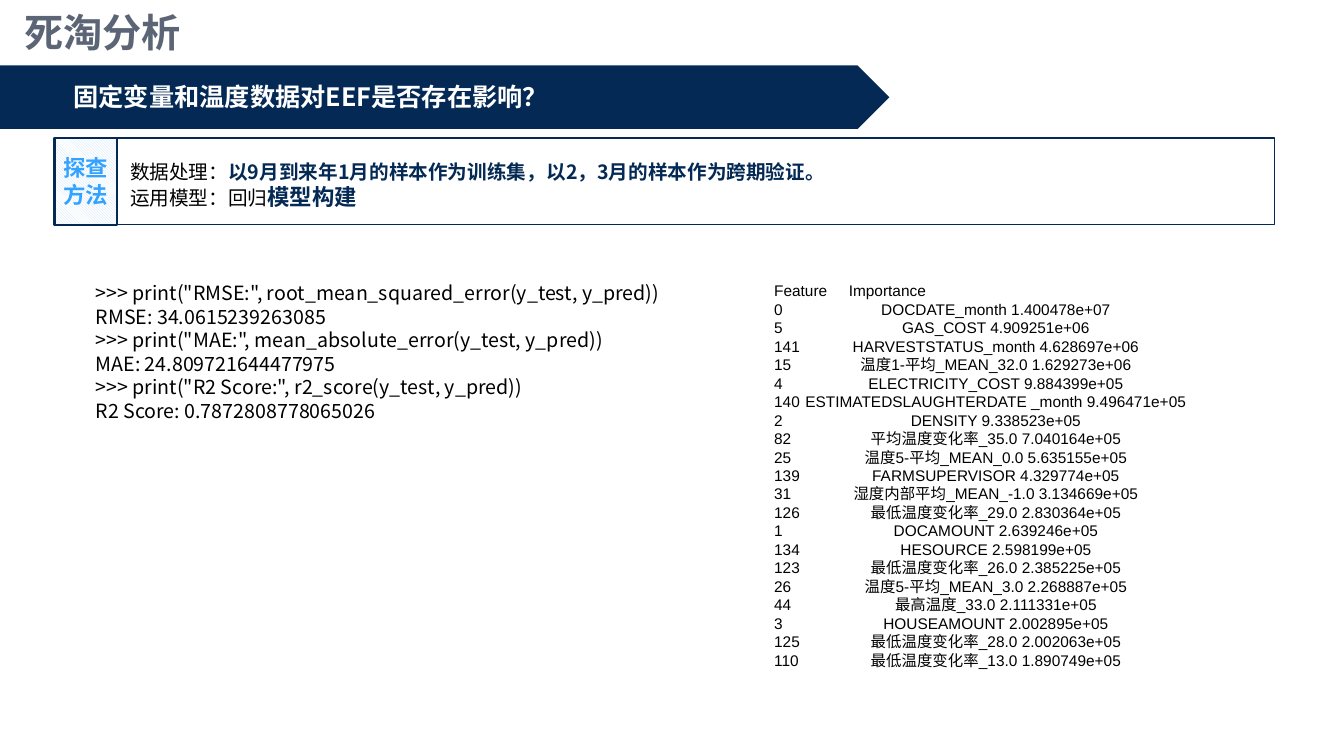
from lxml import etree
from pptx import Presentation
from pptx.dml.color import RGBColor
from pptx.enum.dml import MSO_PATTERN
from pptx.enum.shapes import MSO_SHAPE
from pptx.enum.text import MSO_ANCHOR, MSO_AUTO_SIZE, PP_ALIGN
from pptx.oxml.ns import qn
from pptx.util import Inches, Pt

RECT, BANNER = MSO_SHAPE.RECTANGLE, MSO_SHAPE.PENTAGON
LEFT, CENTER, JUSTIFY = PP_ALIGN.LEFT, PP_ALIGN.CENTER, PP_ALIGN.JUSTIFY
MIDDLE, TOP = MSO_ANCHOR.MIDDLE, MSO_ANCHOR.TOP
CJK = "Noto Sans CJK SC"
NAVY, BLACK, WHITE = "032954", "000000", "FFFFFF"
WIDE_INSET, NORMAL_INSET = (0.13, 0.07), (0.1, 0.05)


def rgb(value):
    return RGBColor.from_string(value)


def write(s, paragraphs, inset=WIDE_INSET, anchor=MIDDLE, align=LEFT, font=CJK):
    """Fill s with paragraphs, each a list of (text, size, colour, bold) runs."""
    tf = s.text_frame
    tf.word_wrap = True
    tf.auto_size = MSO_AUTO_SIZE.NONE
    tf.vertical_anchor = anchor
    tf.margin_left = tf.margin_right = Inches(inset[0])
    tf.margin_top = tf.margin_bottom = Inches(inset[1])
    for i, runs in enumerate(paragraphs):
        p = tf.add_paragraph() if i else tf.paragraphs[0]
        p.alignment = align
        for text, size, color, bold in runs:
            r = p.add_run()
            r.text = text
            r.font.size = Pt(size)
            r.font.bold = bold
            r.font.color.rgb = rgb(color)
            r.font.name = font
            etree.SubElement(r.font._element, qn("a:ea")).set("typeface", CJK)
    return tf


prs = Presentation()
prs.slide_width, prs.slide_height = Inches(13.33), Inches(7.5)
slide = prs.slides.add_slide(prs.slide_layouts[5])
shapes = slide.shapes

title = shapes.title
title.left, title.top = Inches(0.11), Inches(-0.03)
title.width, title.height = Inches(12.29), Inches(0.7)
write(title, [[("死淘分析", 28, "5C6576", True)]])

# Question banner
banner = shapes.add_shape(BANNER, 0, Inches(0.65), Inches(8.82), Inches(0.63))
banner.shadow.inherit = False
banner.fill.solid()
banner.fill.fore_color.rgb = rgb(NAVY)
banner.line.fill.background()
question = shapes.add_textbox(Inches(0.6), Inches(0.61), Inches(7.93), Inches(0.7))
write(question, [[("固定变量和温度数据对EEF是否存在影响？", 18, WHITE, True)]])

# Method row: patterned label inside a full-width frame
label, frame = [
    shapes.add_shape(RECT, Inches(0.54), Inches(1.37), Inches(width), Inches(0.86))
    for width in (0.62, 12.1)
]
for s, weight in ((label, 1.5), (frame, 1)):
    s.shadow.inherit = False
    s.line.color.rgb = rgb(NAVY)
    s.line.width = Pt(weight)
frame.fill.background()
label.fill.patterned()
label.fill.pattern = MSO_PATTERN.LIGHT_DOWNWARD_DIAGONAL
label.fill.fore_color.rgb = rgb("C6E0FD")
label.fill.back_color.rgb = rgb(WHITE)
write(label, [[("探查方法", 16, "33A3FF", True)]], inset=(0.08, 0.05), align=CENTER)

method = shapes.add_textbox(Inches(1.16), Inches(1.46), Inches(11.64), Inches(0.75))
write(method, [
    [("数据处理：", 14, BLACK, False),
     ("以9月到来年1月的样本作为训练集，以2，3月的样本作为跨期验证。", 14, NAVY, True)],
    [("运用模型：回归", 14, BLACK, False), ("模型构建", 16, NAVY, True)],
])

# Model scores
scores = [
    '>>> print("RMSE:", root_mean_squared_error(y_test, y_pred))',
    "RMSE: 34.0615239263085",
    '>>> print("MAE:", mean_absolute_error(y_test, y_pred))',
    "MAE: 24.809721644477975",
    '>>> print("R2 Score:", r2_score(y_test, y_pred))',
    "R2 Score: 0.7872808778065026",
]
console = shapes.add_textbox(Inches(0.85), Inches(2.74), Inches(9.32), Inches(1.99))
write(console, [[(line, 14, BLACK, False)] for line in scores],
      inset=NORMAL_INSET, anchor=TOP, align=JUSTIFY)

# Feature importances, centred on a tab stop
features = [
    ("0", "DOCDATE_month", "1.400478e+07"),
    ("5", "GAS_COST", "4.909251e+06"),
    ("141", "HARVESTSTATUS_month", "4.628697e+06"),
    ("15", "温度1-平均_MEAN_32.0", "1.629273e+06"),
    ("4", "ELECTRICITY_COST", "9.884399e+05"),
    ("140", "ESTIMATEDSLAUGHTERDATE _month", "9.496471e+05"),
    ("2", "DENSITY", "9.338523e+05"),
    ("82", "平均温度变化率_35.0", "7.040164e+05"),
    ("25", "温度5-平均_MEAN_0.0", "5.635155e+05"),
    ("139", "FARMSUPERVISOR", "4.329774e+05"),
    ("31", "湿度内部平均_MEAN_-1.0", "3.134669e+05"),
    ("126", "最低温度变化率_29.0", "2.830364e+05"),
    ("1", "DOCAMOUNT", "2.639246e+05"),
    ("134", "HESOURCE", "2.598199e+05"),
    ("123", "最低温度变化率_26.0", "2.385225e+05"),
    ("26", "温度5-平均_MEAN_3.0", "2.268887e+05"),
    ("44", "最高温度_33.0", "2.111331e+05"),
    ("3", "HOUSEAMOUNT", "2.002895e+05"),
    ("125", "最低温度变化率_28.0", "2.002063e+05"),
    ("110", "最低温度变化率_13.0", "1.890749e+05"),
]
lines = ["Feature\tImportance"]
lines += [f"{index}\t{name} {value}" for index, name, value in features]
listing = shapes.add_textbox(Inches(7.58), Inches(2.74), Inches(4.54), Inches(3.99))
tf = write(listing, [[(line, 11, BLACK, False)] for line in lines],
           inset=NORMAL_INSET, anchor=TOP, font="Arial")
for i, p in enumerate(tf.paragraphs):
    position, kind = (2.2, "ctr") if i else (0.74, "l")
    tabs = etree.SubElement(p._p.get_or_add_pPr(), qn("a:tabLst"))
    etree.SubElement(tabs, qn("a:tab"), pos=str(Inches(position)), algn=kind)

prs.save("out.pptx")
